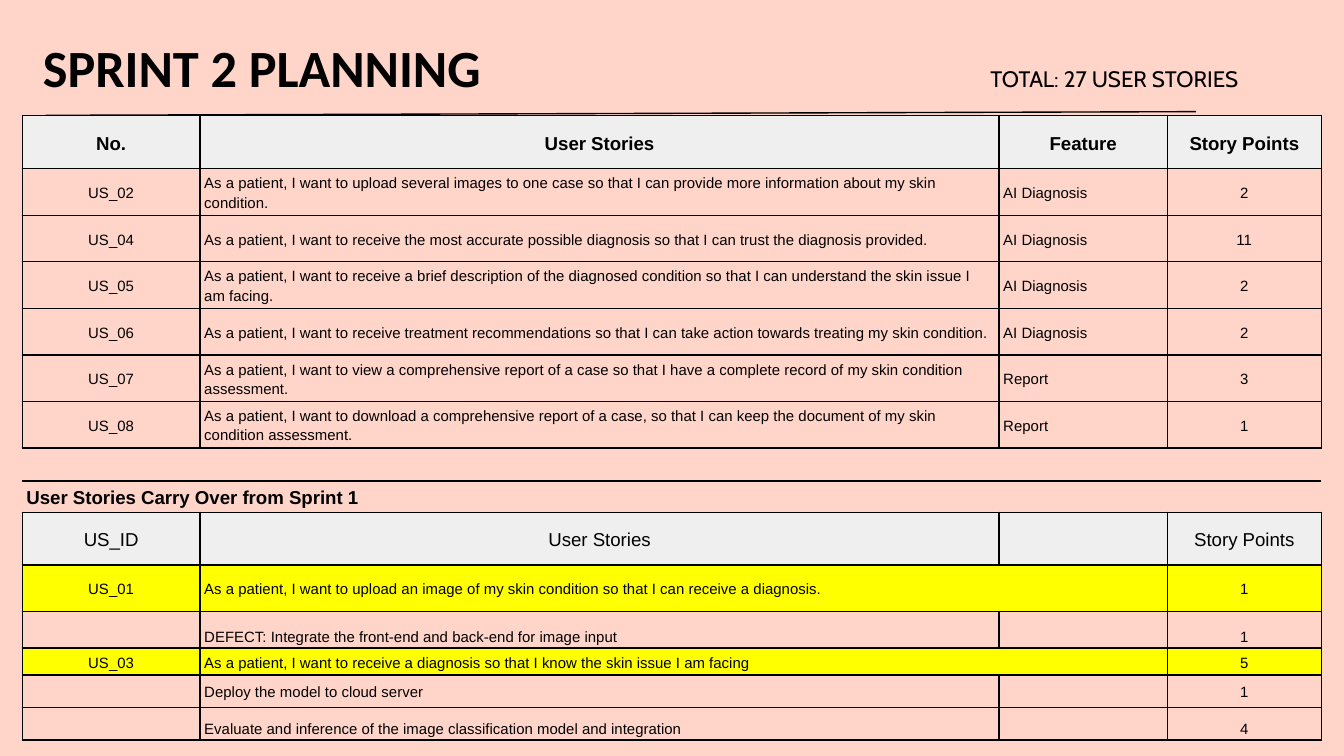
"""Build the Sprint 2 planning slide with its table of user stories."""
from lxml.etree import SubElement
from pptx import Presentation
from pptx.dml.color import RGBColor
from pptx.enum.shapes import MSO_CONNECTOR
from pptx.enum.text import MSO_ANCHOR, MSO_AUTO_SIZE, PP_ALIGN
from pptx.oxml.ns import qn
from pptx.util import Cm, Pt

BLACK = RGBColor(0x00, 0x00, 0x00)
PEACH = RGBColor(0xFF, 0xD5, 0xCA)
GREY = RGBColor(0xEF, 0xEF, 0xEF)
YELLOW = RGBColor(0xFF, 0xFF, 0x00)

MIDDLE, BOTTOM = MSO_ANCHOR.MIDDLE, MSO_ANCHOR.BOTTOM
COLUMN_WIDTHS = [3.36, 15.1, 3.18, 2.91]
STORIES = [
    ("US_02", "As a patient, I want to upload several images to one case so that I can provide more information about my skin condition.", "AI Diagnosis", "2"),
    ("US_04", "As a patient, I want to receive the most accurate possible diagnosis so that I can trust the diagnosis provided.", "AI Diagnosis", "11"),
    ("US_05", "As a patient, I want to receive a brief description of the diagnosed condition so that I can understand the skin issue I am facing.", "AI Diagnosis", "2"),
    ("US_06", "As a patient, I want to receive treatment recommendations so that I can take action towards treating my skin condition.", "AI Diagnosis", "2"),
    ("US_07", "As a patient, I want to view a comprehensive report of a case so that I have a complete record of my skin condition assessment.", "Report", "3"),
    ("US_08", "As a patient, I want to download a comprehensive report of a case, so that I can keep the document of my skin condition assessment.", "Report", "1"),
]
CARRY_OVER = [
    (0.88, YELLOW, MIDDLE, ("US_01", "As a patient, I want to upload an image of my skin condition so that I can receive a diagnosis.", "", "1")),
    (0.69, None, BOTTOM, ("", "DEFECT: Integrate the front-end and back-end for image input", "", "1")),
    (0.51, YELLOW, MIDDLE, ("US_03", "As a patient, I want to receive a diagnosis so that I know the skin issue I am facing", "", "5")),
    (0.61, None, MIDDLE, ("", "Deploy the model to cloud server", "", "1")),
    (0.62, None, BOTTOM, ("", "Evaluate and inference of the image classification model and integration", "", "4")),
]
ROWS = [
    (1.0, GREY, MIDDLE, ("No.", "User Stories", "Feature", "Story Points")),
    *[(0.88, None, MIDDLE, story) for story in STORIES],
    (0.62, None, MIDDLE, ("", "", "", "")),
    (0.59, None, MIDDLE, ("User Stories Carry Over from Sprint 1", "", "", "")),
    (1.0, GREY, MIDDLE, ("US_ID", "User Stories", "", "Story Points")),
    *CARRY_OVER,
]
GAP_ROW = len(STORIES) + 1
HEADING_ROW = GAP_ROW + 1


def write(frame, text, font="Arial", size=8, bold=False, align=PP_ALIGN.LEFT, spacing=None):
    paragraph = frame.paragraphs[0]
    paragraph.alignment = align
    paragraph.line_spacing = spacing
    if not text:
        SubElement(paragraph._p, qn("a:endParaRPr"), sz=str(size * 100))
        return
    span = paragraph.add_run()
    span.text = text
    span.font.name = font
    span.font.size = Pt(size)
    span.font.bold = bold
    span.font.color.rgb = BLACK


def set_borders(cell, visible):
    properties = cell._tc.get_or_add_tcPr()
    for side in "LRTB":
        border = SubElement(properties, qn(f"a:ln{side}"), w=str(Pt(0.75)))
        if side in visible:
            solid = SubElement(border, qn("a:solidFill"))
            SubElement(solid, qn("a:srgbClr"), val=str(BLACK))
        else:
            SubElement(border, qn("a:noFill"))


deck = Presentation()
deck.slide_width, deck.slide_height = Cm(25.4), Cm(14.29)
page = deck.slides.add_slide(deck.slide_layouts[5])
page.background.fill.solid()
page.background.fill.fore_color.rgb = PEACH

title = page.shapes.title
title.left, title.top, title.width, title.height = Cm(0.56), Cm(0.41), Cm(24.69), Cm(1.7)
total = page.shapes.add_textbox(Cm(18.47), Cm(0.99), Cm(6.9), Cm(1.02))
for box in (title, total):
    frame = box.text_frame
    frame.word_wrap = True
    frame.auto_size = MSO_AUTO_SIZE.NONE
    frame.vertical_anchor = MSO_ANCHOR.TOP
    frame.margin_left = frame.margin_right = frame.margin_top = frame.margin_bottom = Cm(0.25)
write(title.text_frame, "SPRINT 2 PLANNING", font="Calibri", size=28, bold=True)
write(total.text_frame, "TOTAL: 27 USER STORIES", font="Cabin", size=12)

rule = page.shapes.add_connector(MSO_CONNECTOR.STRAIGHT, Cm(0.86), Cm(2.18), Cm(22.6), Cm(2.11))
rule.line.color.rgb = BLACK
rule.line.width = Pt(0.75)
SubElement(rule._element.spPr, qn("a:effectLst"))

table_height = sum(row[0] for row in ROWS)
table = page.shapes.add_table(
    len(ROWS), len(COLUMN_WIDTHS), Cm(0.42), Cm(2.19), Cm(sum(COLUMN_WIDTHS)), Cm(table_height)
).table
table.first_row = table.horz_banding = False
for column, width in zip(table.columns, COLUMN_WIDTHS):
    column.width = Cm(width)

for row_number, (height, fill, anchor, texts) in enumerate(ROWS):
    table.rows[row_number].height = Cm(height)
    is_open = row_number in (GAP_ROW, HEADING_ROW)
    is_large = fill == GREY or row_number == HEADING_ROW
    for column_number, text in enumerate(texts):
        cell = table.cell(row_number, column_number)
        cell.vertical_anchor = anchor
        cell.margin_left = cell.margin_right = Cm(0.08)
        cell.margin_top = cell.margin_bottom = Cm(0.05)
        centred = fill == GREY or (column_number in (0, 3) and not is_open)
        write(
            cell.text_frame,
            text,
            size=10 if is_large else 8,
            bold=row_number in (0, HEADING_ROW),
            align=PP_ALIGN.CENTER if centred else PP_ALIGN.LEFT,
            spacing=1.15,
        )
        set_borders(cell, "TB" if is_open else "LRTB")
        if fill is None:
            cell.fill.background()
        else:
            cell.fill.solid()
            cell.fill.fore_color.rgb = fill
    if fill == YELLOW:
        table.cell(row_number, 1).merge(table.cell(row_number, 2))
table.cell(HEADING_ROW, 0).merge(table.cell(HEADING_ROW, 3))

deck.save("out.pptx")
